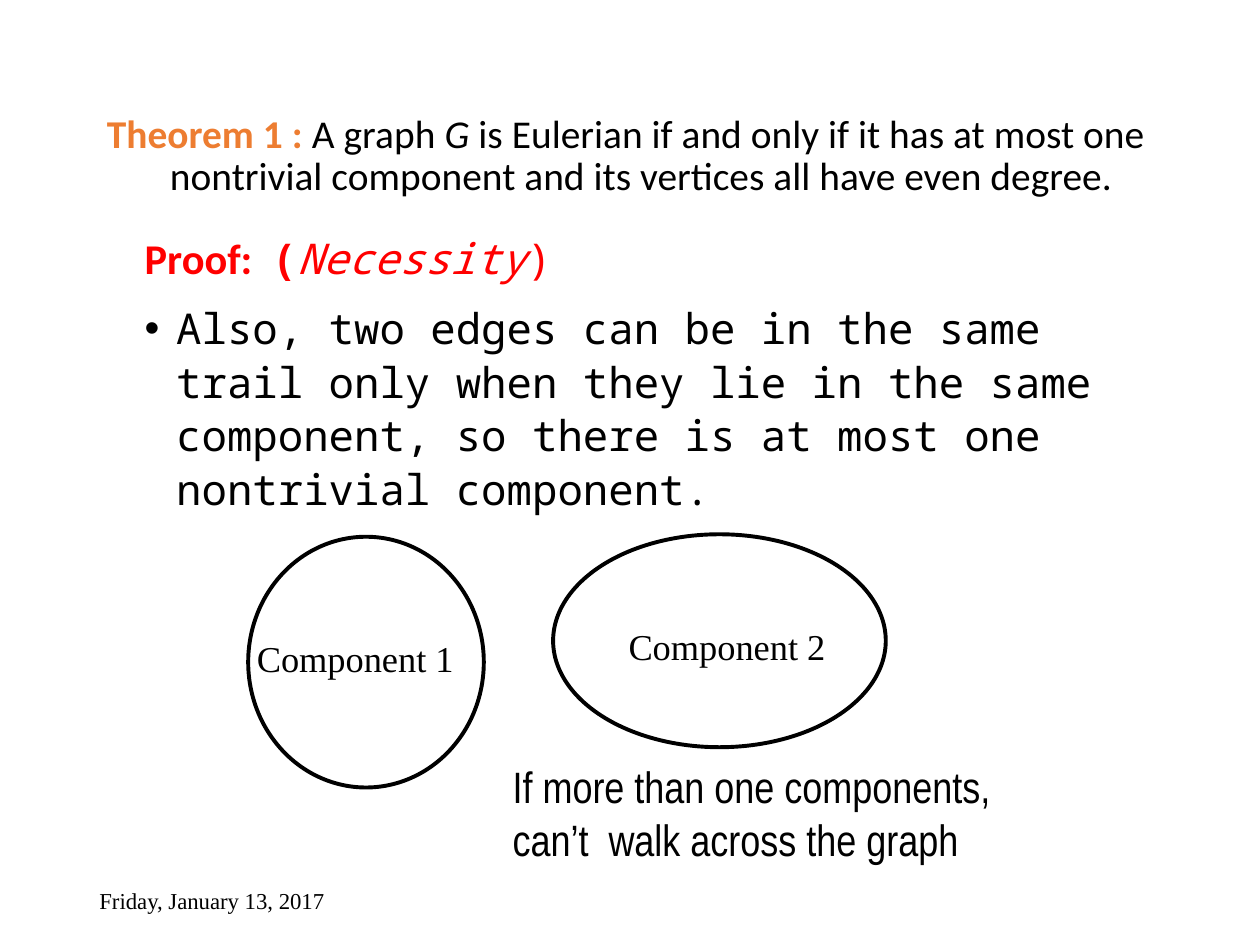
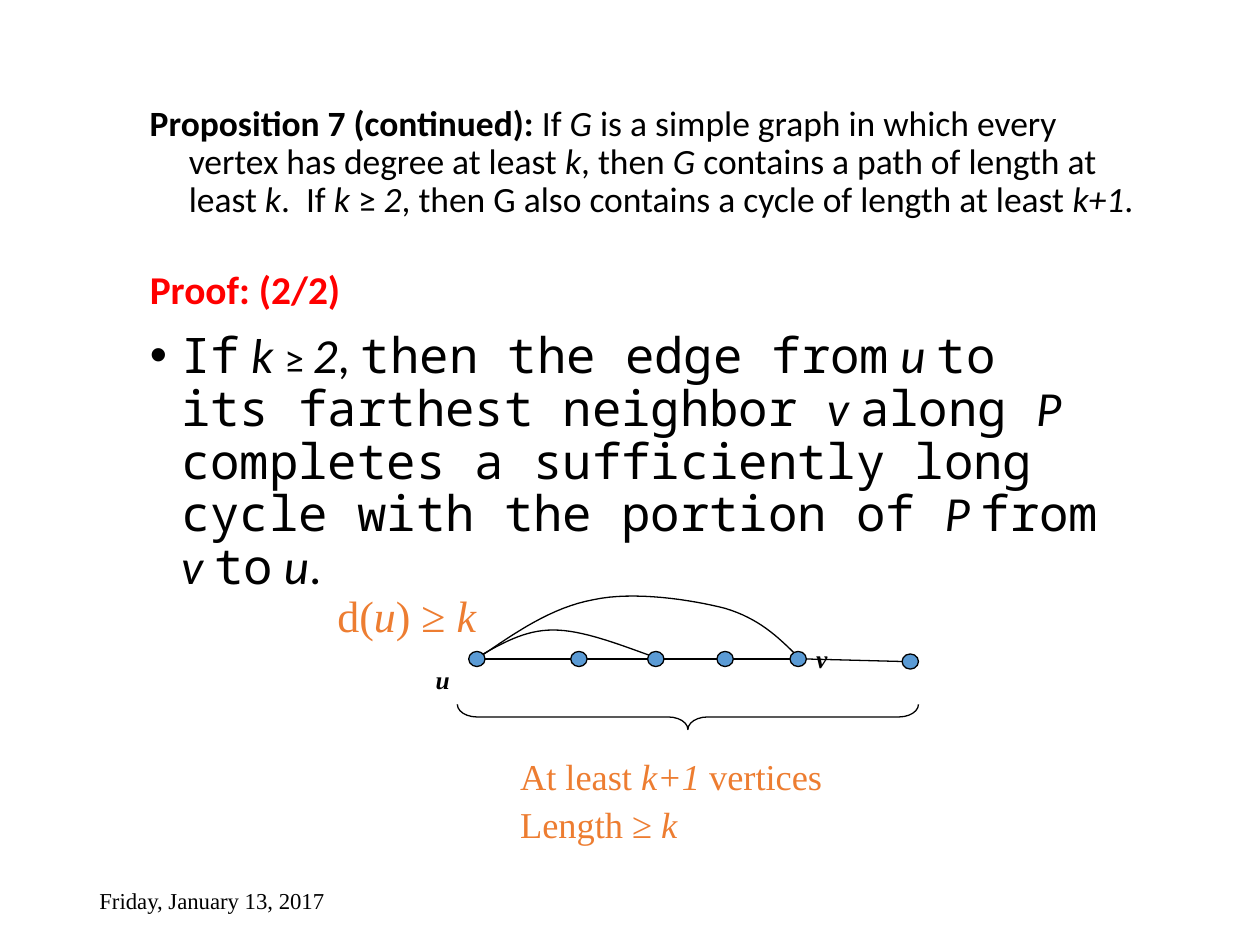
"""Builds two graph theory slides: Eulerian necessity and the long cycle proposition."""
from pptx import Presentation
from pptx.dml.color import RGBColor
from pptx.enum import shapes, text
from pptx.oxml.ns import qn
from pptx.util import Inches, Pt
from lxml import etree

BLACK = RGBColor(0, 0, 0)
WHITE = RGBColor(255, 255, 255)
RED = RGBColor(255, 0, 0)
ORANGE = RGBColor(0xED, 0x7D, 0x31)
BLUE = RGBColor(0x5B, 0x9B, 0xD5)
SANS, MONO, SERIF, NARROW = "Calibri", "Noto Sans Mono", "Times New Roman", "Arial Narrow"

DATE = "Friday, January 13, 2017"

# Asterisks enclose italic words.
THEOREM = [
    ("Theorem 1 : ", dict(color=ORANGE, bold=True)),
    ("A graph *G* is Eulerian if and only if it has at most one nontrivial component "
     "and its vertices all have even degree.", {}),
]
NECESSITY = [
    ("Proof:  ", dict(color=RED, bold=True)),
    ("(", dict(font=MONO, color=RED, bold=True)),
    ("*Necessity*)", dict(font=MONO, color=RED)),
]
SAME_TRAIL = [
    ("Also, two edges can be in the same trail only when they lie in the same component, "
     "so there is at most one nontrivial component.", dict(font=MONO)),
]
COMPONENTS = [
    ("Component 1", (1.97, 4.26, 1.87, 1.99), (1.94, 5)),
    ("Component 2", (4.39, 4.24, 2.64, 1.69), (4.89, 4.9)),
]
REMARK = "If more than one components, can’t  walk across the graph"

PROPOSITION = [
    ("Proposition 7 (continued): ", dict(bold=True)),
    ("If *G* is a simple graph in which every vertex has degree at least *k*, then *G* "
     "contains a path of length at least *k*.  If *k *≥ *2*, then G also contains a cycle "
     "of length at least *k+1*.", {}),
]
PROOF_2 = [("Proof: (2/2)", dict(size=22.5, color=RED, bold=True))]
LONG_CYCLE = [
    ("If", dict(font=MONO)),
    ("* k *", {}),
    ("≥ ", dict(size=22.5)),
    ("*2*, ", {}),
    ("then the edge from* u *to its farthest neighbor *v *along *P *completes a "
     "sufficiently long cycle with the portion of *P *from *v *to* u*",
     dict(font=MONO, italic_font=SANS)),
    (".", {}),
]
DEGREE = "d(*u*) ≥ *k*"
PATH_NOTES = ["At least *k+1 *vertices", "Length ≥ *k*"]
VERTEX_LABELS = [("u", 3.36, 5.02), ("v", 6.38, 4.85)]
VERTICES = [(3.72, 5.17), (4.53, 5.17), (5.14, 5.17), (5.69, 5.17), (6.27, 5.17), (7.16, 5.19)]
VERTEX_W, VERTEX_H = 0.13, 0.12
EDGE_CURVES = [
    [(3.8, 5.21), (3.98, 5.11), (4.16, 5), (4.39, 5), (4.62, 5), (4.9, 5.11), (5.18, 5.21)],
    [(3.8, 5.22), (4.09, 5.02), (4.38, 4.82), (4.71, 4.76), (5.03, 4.69), (5.49, 4.76),
     (5.76, 4.83), (6.02, 4.91), (6.17, 5.05), (6.32, 5.2)],
]


def add_runs(p, runs, base):
    for words, style in runs:
        look = {**base, **style}
        for i, piece in enumerate(words.split("*")):
            if not piece:
                continue
            italic = i % 2 == 1
            r = p.add_run()
            r.text = piece
            f = r.font
            f.name = look.get("italic_font", look["font"]) if italic else look["font"]
            f.size = Pt(look["size"])
            f.color.rgb = look.get("color", BLACK)
            f.bold = look.get("bold", False)
            f.italic = italic
            if "baseline" in look:
                f._element.set("baseline", str(look["baseline"]))


def add_text(s, box, paragraphs, size, font, anchor=text.MSO_ANCHOR.TOP, spacing=None,
             before=0, hang=0, bullets=(), **look):
    sp = s.shapes.add_textbox(*map(Inches, box))
    tf = sp.text_frame
    tf.word_wrap = True
    tf.vertical_anchor = anchor
    for i, runs in enumerate(paragraphs):
        p = tf.add_paragraph() if i else tf.paragraphs[0]
        if spacing:
            p.line_spacing = spacing
        if i and before:
            p.space_before = Pt(before)
        pPr = p._p.get_or_add_pPr()
        if hang:
            pPr.set("marL", str(Inches(hang)))
            pPr.set("indent", str(-Inches(hang)))
        if i in bullets:
            etree.SubElement(pPr, qn("a:buFont")).set("typeface", "Arial")
            etree.SubElement(pPr, qn("a:buChar")).set("char", "•")
        if isinstance(runs, str):
            runs = [(runs, {})]
        add_runs(p, runs, dict(size=size, font=font, **look))


def outline(sp, width, fill=None):
    sp.shadow.inherit = False
    if fill is None:
        sp.fill.background()
    else:
        sp.fill.solid()
        sp.fill.fore_color.rgb = fill
    sp.line.color.rgb = BLACK
    sp.line.width = Pt(width)


def add_ellipse(s, box, fill, width):
    sp = s.shapes.add_shape(shapes.MSO_SHAPE.OVAL, *map(Inches, box))
    outline(sp, width, fill)


def add_edge(s, x1, y1, x2, y2):
    c = s.shapes.add_connector(shapes.MSO_CONNECTOR.STRAIGHT, *map(Inches, (x1, y1, x2, y2)))
    c.line.color.rgb = BLACK
    c.line.width = Pt(0.75)
    etree.SubElement(c._element.spPr, qn("a:effectLst"))


def bezier(a, b, c, d, t):
    return tuple((1 - t) ** 3 * p0 + 3 * (1 - t) ** 2 * t * p1 + 3 * (1 - t) * t ** 2 * p2
                 + t ** 3 * p3 for p0, p1, p2, p3 in zip(a, b, c, d))


def add_curve(s, knots, steps=16):
    knots = [(Inches(x), Inches(y)) for x, y in knots]
    points = [bezier(*knots[i:i + 4], k / steps)
              for i in range(0, len(knots) - 1, 3) for k in range(1, steps + 1)]
    fb = s.shapes.build_freeform(*knots[0])
    fb.add_line_segments(points, close=False)
    outline(fb.convert_to_shape(), 0.75)


def new_slide(prs, title, title_box, title_size, title_hang):
    s = prs.slides.add_slide(prs.slide_layouts[6])
    middle = text.MSO_ANCHOR.MIDDLE
    add_text(s, (0.69, 6.95, 2.25, 0.4), [DATE], 13, SERIF, middle)
    add_text(s, title_box, [title], title_size, SANS, middle, spacing=0.9, hang=title_hang)
    return s


def add_body(s, box, paragraphs, size, spacing):
    add_text(s, box, paragraphs, size, SANS, spacing=spacing, before=10, hang=0.25, bullets=(1,))


def theorem_slide(prs):
    s = new_slide(prs, THEOREM, (0.75, 0.67, 8.52, 1.15), 22.5, 0.5)
    add_body(s, (1.05, 1.77, 7.82, 2.06), [NECESSITY, SAME_TRAIL], 24.2, 1.05)
    for label, oval, corner in COMPONENTS:
        add_ellipse(s, oval, WHITE, 2.25)
        add_text(s, (*corner, 1.8, 0.45), [label], 20.8, SERIF)
    add_text(s, (3.97, 5.98, 4.36, 0.95), [REMARK], 25.1, NARROW)


def proposition_slide(prs):
    s = new_slide(prs, PROPOSITION, (1.09, 0.61, 8.04, 1.37), 20.3, 0.31)
    add_body(s, (1.09, 2.1, 7.82, 4.9), [PROOF_2, LONG_CYCLE], 28, 0.9)
    for (x1, y1), (x2, y2) in zip(VERTICES, VERTICES[1:]):
        add_edge(s, x1 + VERTEX_W, y1 + VERTEX_H / 2, x2, y2 + VERTEX_H / 2)
    for knots in EDGE_CURVES:
        add_curve(s, knots)
    for x, y in VERTICES:
        add_ellipse(s, (x, y, VERTEX_W, VERTEX_H), BLUE, 0.75)
    for label, x, y in VERTEX_LABELS:
        add_text(s, (x, y, 0.54, 0.38), [f"*{label}*"], 25.1, SERIF, bold=True, baseline=-16000)
    add_text(s, (2.58, 4.62, 1.6, 0.52), [DEGREE], 25.1, SERIF, color=ORANGE)
    brace = s.shapes.add_shape(shapes.MSO_SHAPE.LEFT_BRACE, *map(Inches, (5.36, 3.86, 0.2, 3.66)))
    brace.rotation = 270
    brace.adjustments[0] = 0.78
    outline(brace, 0.75)
    add_text(s, (4.03, 5.9, 3.1, 0.87), PATH_NOTES, 20.8, SERIF, spacing=1.1, color=ORANGE)


def main():
    prs = Presentation()
    prs.slide_width, prs.slide_height = Inches(10), Inches(7.5)
    theorem_slide(prs)
    proposition_slide(prs)
    prs.save("out.pptx")


if __name__ == "__main__":
    main()
